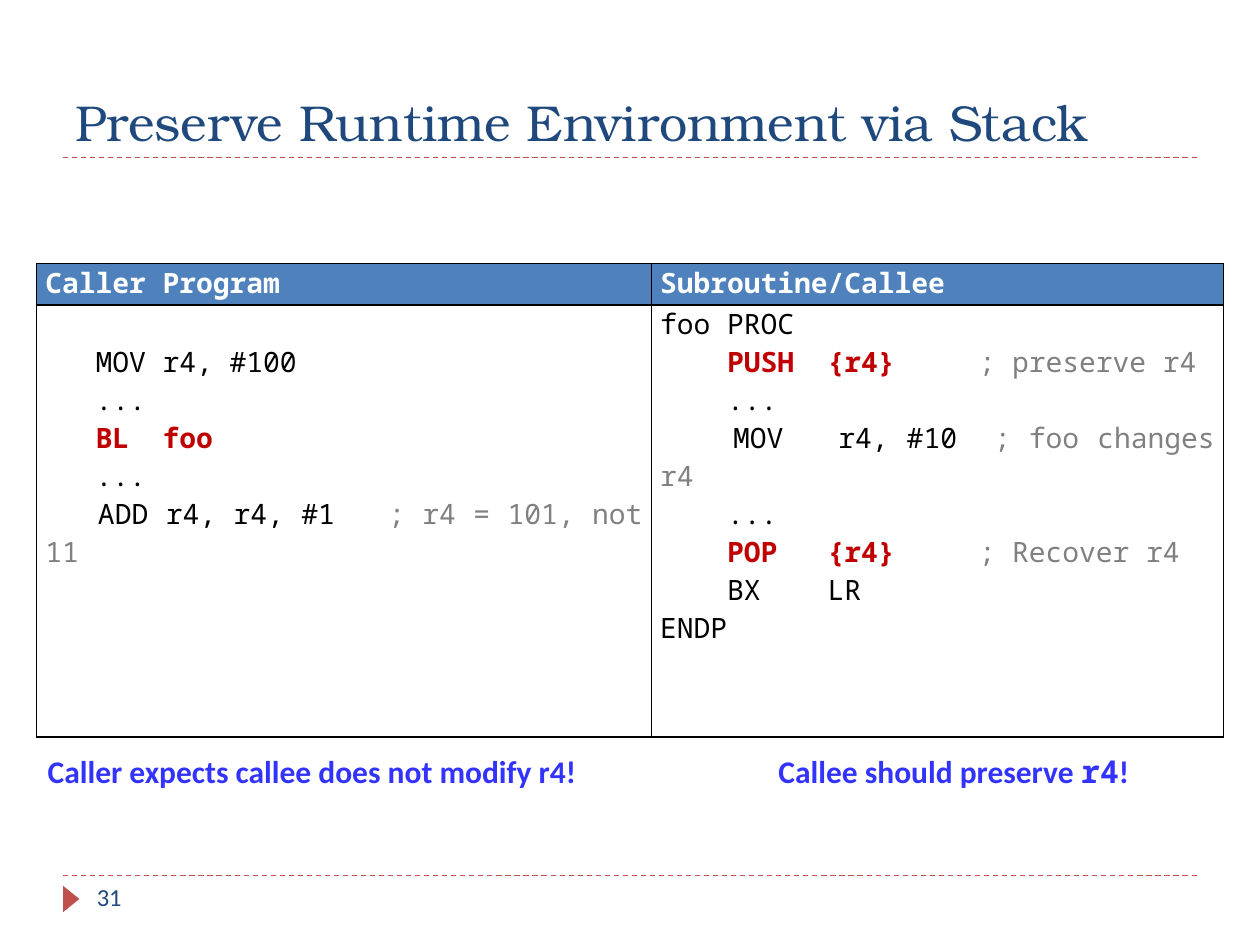
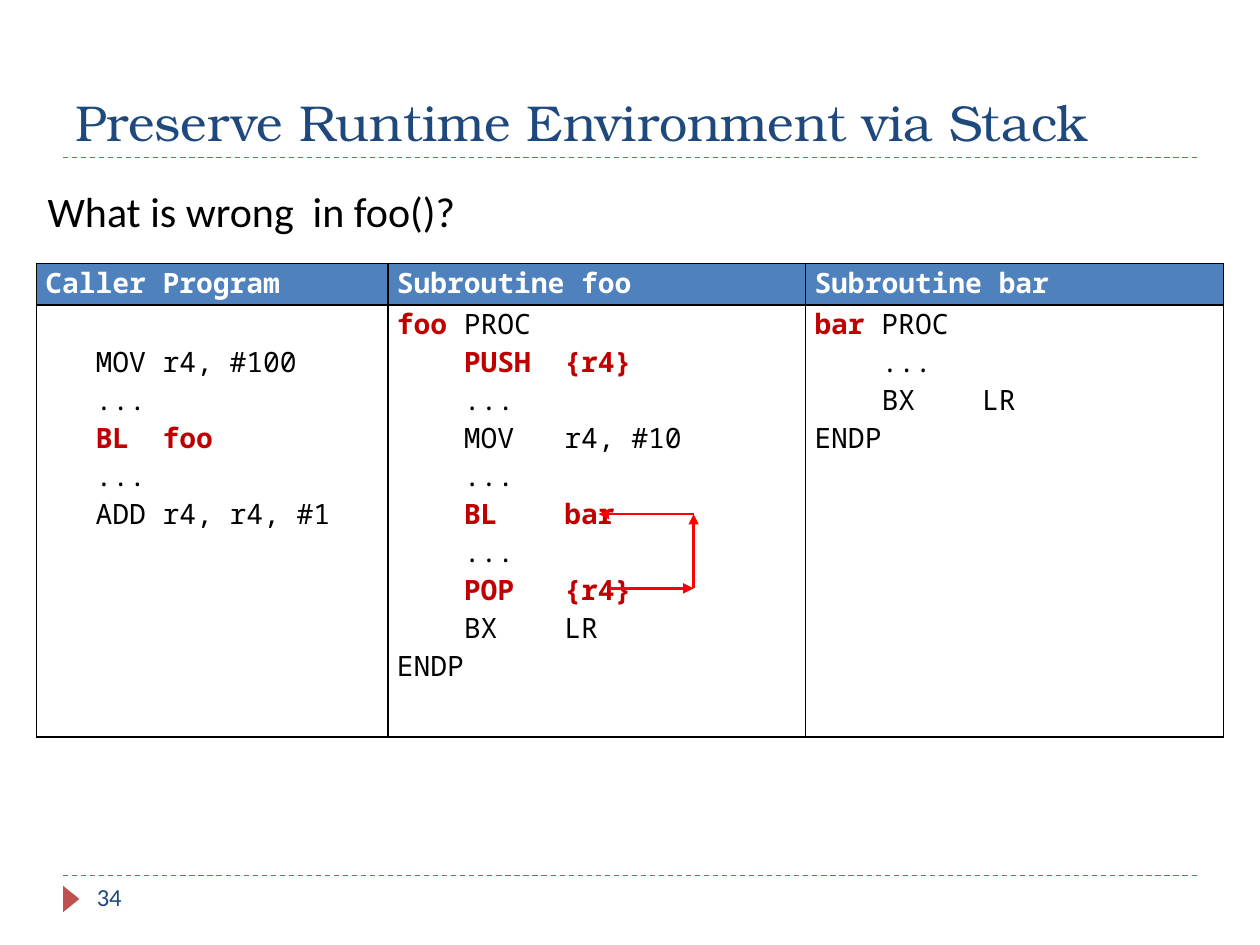
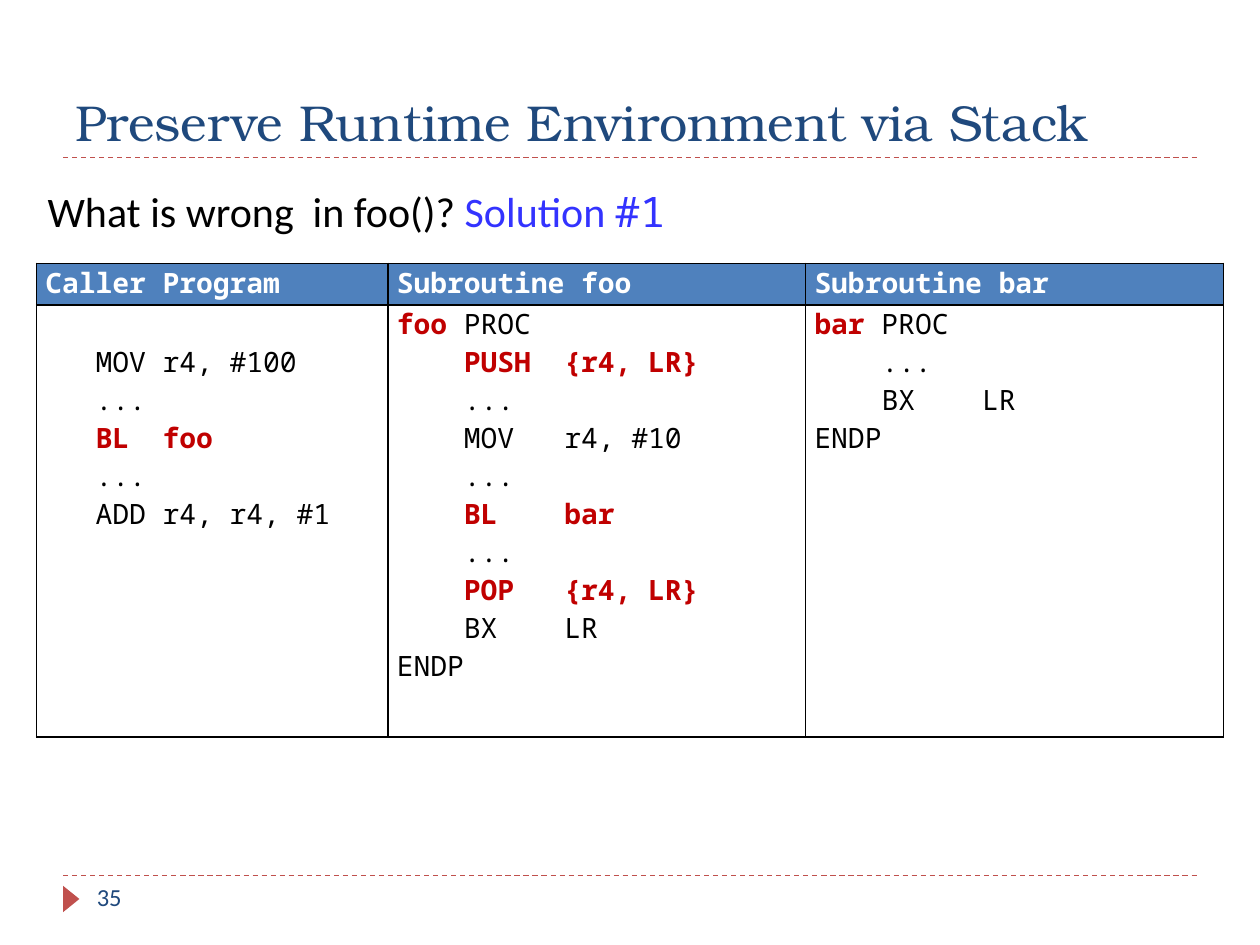
from pptx import Presentation
from pptx.dml.color import RGBColor
from pptx.enum.dml import MSO_LINE_DASH_STYLE as DASH
from pptx.enum.shapes import MSO_CONNECTOR, MSO_SHAPE
from pptx.enum.text import MSO_ANCHOR, PP_ALIGN
from pptx.oxml.ns import qn
from pptx.util import Inches, Pt
from lxml.etree import SubElement, Element

COLS, ROWS = 20, 15
UNIT = Inches(0.5)
COLORS = {
    "ink": "000000", "title": "1F497D", "accent": "C0504D", "header": "4F81BD",
    "white": "FFFFFF", "key": "C00000", "comment": "808080", "note": "3333FF",
    "arrow": "FF0000",
}
SANS, MONO, SERIF = "Calibri", "Noto Sans Mono", "TeX Gyre Bonum"

TITLE = {"name": SERIF, "size": 28.8, "color": "title"}
NUMBER = {"name": SANS, "size": 14, "color": "title"}
QUESTION = {"name": SANS, "size": 24, "color": "ink"}
SOLUTION = {**QUESTION, "color": "note"}
NOTE = {"name": SANS, "size": 18, "color": "note", "bold": True}
CODE = {"name": MONO, "size": 16, "color": "ink", "bold": False}
KEY = {**CODE, "color": "key", "bold": True}
COMMENT = {**CODE, "color": "comment"}
HEADER = {**CODE, "color": "white", "bold": True}

TITLE_TEXT = "Preserve Runtime Environment via Stack"
RULE_ROWS = (13.9, 2.5)
TABLE_AT = (0.58, 4.18)
TABLE_ROWS = (0.66, 6.86)
TWO_COLS = (9.76, 9.08)
THREE_COLS = (5.58, 6.63, 6.63)
CODE_LINE = 0.6
RETURN_LOOP = [(9.66, 9.34), (11.01, 9.34), (11.01, 8.16), (9.5, 8.16)]

CALLER = ["   MOV r4, #100", "   ...", "   *BL  foo*", "   ..."]
ADD = "   ADD r4, r4, #1"
CALLEE = [
    "foo PROC",
    "    *PUSH  {r4}*     ; preserve r4",
    "    ...",
    "    MOV   r4, #10  ; foo changes r4",
    "    ...",
    "    *POP   {r4}*     ; Recover r4",
    "    BX    LR",
    "ENDP",
]
BAR = ["*bar* PROC", "    ...", "    BX    LR", "ENDP"]


def grid(*values):
    return [int(v * UNIT) for v in values]


def rgb(name):
    return RGBColor.from_string(COLORS[name])


def add_runs(p, runs):
    for text, style in runs:
        r = p.add_run()
        r.text = text
        for key, value in style.items():
            if key == "color":
                r.font.color.rgb = rgb(value)
            else:
                setattr(r.font, key, Pt(value) if key == "size" else value)


def add_text(s, box, runs, anchor=MSO_ANCHOR.TOP):
    tf = s.shapes.add_textbox(*grid(*box)).text_frame
    tf.word_wrap = True
    tf.vertical_anchor = anchor
    add_runs(tf.paragraphs[0], runs)


def add_note(s, box, runs):
    sp = s.shapes.add_shape(MSO_SHAPE.RECTANGLE, *grid(*box))
    sp.shadow.inherit = False
    sp.fill.solid()
    sp.fill.fore_color.rgb = rgb("white")
    sp.line.fill.background()
    tf = sp.text_frame
    tf.word_wrap = True
    tf.vertical_anchor = MSO_ANCHOR.TOP
    p = tf.paragraphs[0]
    p.alignment = PP_ALIGN.LEFT
    add_runs(p, runs)


def add_line(s, start, end, color, width, dash=None, arrow=False):
    cn = s.shapes.add_connector(MSO_CONNECTOR.STRAIGHT, *grid(*start, *end))
    cn.line.color.rgb = rgb(color)
    cn.line.width = Pt(width)
    if dash:
        cn.line.dash_style = dash
    if arrow:
        SubElement(cn.line._get_or_add_ln(), qn("a:tailEnd"), type="triangle")
    SubElement(cn._element.spPr, qn("a:effectLst"))


def add_frame(prs, number):
    s = prs.slides.add_slide(prs.slide_layouts[6])
    for row in RULE_ROWS:
        add_line(s, (1, row), (COLS - 1, row), "accent", 0.75, DASH.DASH)
    sp = s.shapes.add_shape(MSO_SHAPE.ISOSCELES_TRIANGLE, *grid(0.92, 14.14, 0.42, 0.26))
    sp.rotation = 90
    sp.shadow.inherit = False
    sp.fill.solid()
    sp.fill.fore_color.rgb = rgb("accent")
    sp.line.fill.background()
    add_text(s, (1, 0.34, COLS - 2, 2.16), [(TITLE_TEXT, TITLE)], MSO_ANCHOR.BOTTOM)
    add_text(s, (1.34, 13.9, 4.34, 0.8), [(str(number), NUMBER)])
    return s


def code_runs(line):
    code, mark, comment = line.partition(";")
    parts = [(t, KEY if i % 2 else CODE) for i, t in enumerate(code.split("*"))]
    parts.append((mark + comment, COMMENT))
    return [part for part in parts if part[0]]


def add_borders(cell):
    tc_pr = cell._tc.get_or_add_tcPr()
    for i, side in enumerate(("lnL", "lnR", "lnT", "lnB")):
        ln = Element(qn(f"a:{side}"), w=str(Pt(1)))
        fill = SubElement(ln, qn("a:solidFill"))
        SubElement(fill, qn("a:srgbClr"), val=COLORS["ink"])
        tc_pr.insert(i, ln)


def fill_cell(cell, lines, top=0):
    margins = {"left": 0.14, "right": 0.14, "top": top, "bottom": 0}
    for side, value in margins.items():
        setattr(cell, f"margin_{side}", int(value * UNIT))
    tf = cell.text_frame
    for i, runs in enumerate(lines):
        p = tf.add_paragraph() if i else tf.paragraphs[0]
        p.alignment = PP_ALIGN.JUSTIFY
        add_runs(p, runs)
    add_borders(cell)


def add_code_table(s, widths, columns):
    size = grid(*TABLE_AT, sum(widths), sum(TABLE_ROWS))
    table = s.shapes.add_table(2, len(widths), *size).table
    table.horz_banding = False
    for row, height in zip(table.rows, grid(*TABLE_ROWS)):
        row.height = height
    for i, (heading, code) in enumerate(columns):
        table.columns[i].width = grid(widths[i])[0]
        head, body = table.cell(0, i), table.cell(1, i)
        head.fill.solid()
        head.fill.fore_color.rgb = rgb("header")
        body.fill.background()
        fill_cell(head, [[(heading, HEADER)]])
        fill_cell(body, map(code_runs, code), 0 if i else CODE_LINE)


def foo_code(saved):
    return [
        "*foo* PROC",
        f"    *PUSH  {saved}*",
        "    ...",
        "    MOV   r4, #10",
        "    ...",
        "    *BL    bar*",
        "    ...",
        f"    *POP   {saved}*",
        "    BX    LR",
        "ENDP",
    ]


def add_nested_call(prs, number, saved, question):
    s = add_frame(prs, number)
    add_code_table(s, THREE_COLS, [
        ("Caller Program", CALLER + [ADD]),
        ("Subroutine foo", foo_code(saved)),
        ("Subroutine bar", BAR),
    ])
    add_text(s, (0.56, 2.84, 10.8, 1), question)
    return s


def main():
    prs = Presentation()
    prs.slide_width, prs.slide_height = COLS * UNIT, ROWS * UNIT

    s = add_frame(prs, 31)
    add_code_table(s, TWO_COLS, [
        ("Caller Program", CALLER + [ADD + "   ; r4 = 101, not 11"]),
        ("Subroutine/Callee", CALLEE),
    ])
    add_note(s, (12.16, 11.84, 6.58, 0.8), [
        ("Callee should preserve ", NOTE), ("r4", {**NOTE, "name": MONO}), ("!", NOTE),
    ])
    add_note(s, (0.56, 11.84, 9.96, 0.8),
             [("Caller expects callee does not modify r4!", NOTE)])

    s = add_nested_call(prs, 34, "{r4}", [("What is wrong  in foo()?", QUESTION)])
    for start, end in zip(RETURN_LOOP, RETURN_LOOP[1:]):
        add_line(s, start, end, "arrow", 1.5, arrow=True)

    add_nested_call(prs, 35, "{r4, LR}", [
        ("What is wrong  in foo()? ", QUESTION),
        ("Solution ", SOLUTION),
        ("#1", {**SOLUTION, "name": MONO}),
    ])

    prs.save("out.pptx")


if __name__ == "__main__":
    main()
